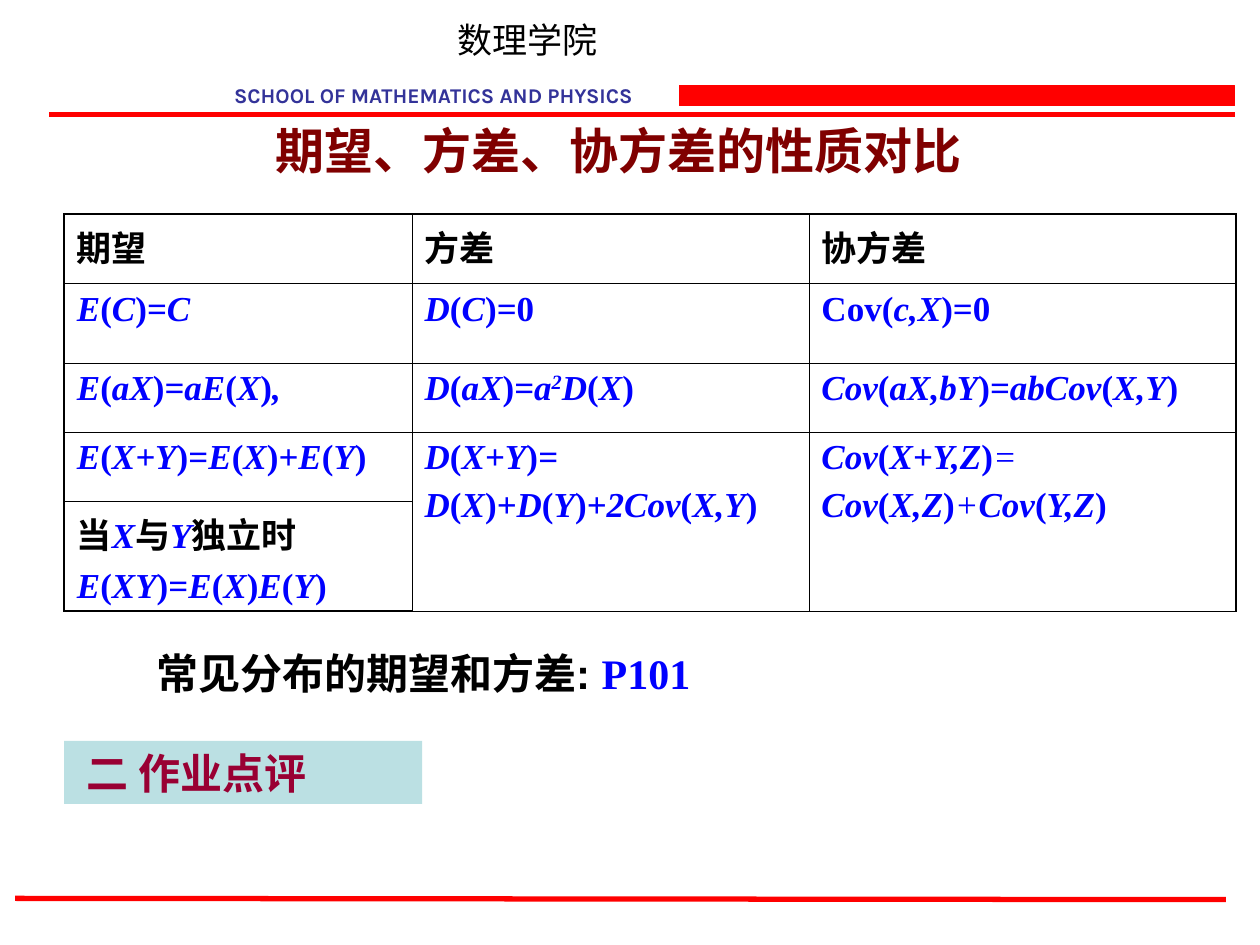
import pptx
import pptx.util
import pptx.dml.color
import pptx.enum.shapes
import pptx.enum.text
import pptx.oxml
import pptx.oxml.ns

Inches, Pt = pptx.util.Inches, pptx.util.Pt
RECTANGLE = pptx.enum.shapes.MSO_SHAPE.RECTANGLE
CJK, LATIN, SERIF = "Noto Sans CJK SC", "Arial", "Times New Roman"
COLORS = {"red": "FF0000", "black": "000000", "navy": "333399", "maroon": "800000",
          "blue": "0000FF", "teal": "BBE0E3", "crimson": "990033"}

HEADERS = ["期望", "方差", "协方差"]
# Text between bars is italic; "^" opens a superscript, "~" a light piece.
FORMULAS = [
    ["|E|(|C|)|=C|", "|D|(|C|)|=|0", "Cov(|c,X|)=0"],
    ["|E|(|aX|)|=aE|(|X|)|,|", "|D|(|aX|)|=a||^2||D|(|X|)",
     "|Cov|(|aX,bY|)|=abCov|(|X,Y|)"],
    ["|E|(|X+Y|)=|E|(|X|)|+E|(|Y|)",
     "|D|(|X+Y|)|=|\n|D|(|X|)|+D|(|Y|)|+2Cov|(|X,Y|)",
     "|Cov|(|X+Y,Z|)|~=|\n|Cov|(|X,Z|)|~+||Cov|(|Y,Z|)"],
    ["当|X|与|Y|独立时\n|E|(|XY|)=|E|(|X|)|E|(|Y|)", "", ""],
]
COLUMN_WIDTHS = [2.76, 3.15, 3.39]
ROW_HEIGHTS = [0.55, 0.63, 0.55, 0.55, 0.87]
OUTER, INNER = 1.08, 0.45


def rgb(name):
    return pptx.dml.color.RGBColor.from_string(COLORS[name])


def add_run(paragraph, text, size=20, font=SERIF, color="black", bold=True,
            italic=False, baseline=0):
    run = paragraph.add_run()
    run.text = text
    run.font.size, run.font.name = Pt(size), font
    run.font.bold, run.font.italic = bold, italic
    run.font.color.rgb = rgb(color)
    properties = run._r.get_or_add_rPr()
    if baseline:
        properties.set("baseline", str(baseline * 1000))
    east_asian = pptx.oxml.parse_xml(
        f'<a:ea {pptx.oxml.ns.nsdecls("a")} typeface="{CJK}"/>')
    properties.find(pptx.oxml.ns.qn("a:latin")).addnext(east_asian)


def write_formulas(frame, markup):
    for row, line in enumerate(markup.split("\n")):
        paragraph = frame.add_paragraph() if row else frame.paragraphs[0]
        if row:
            paragraph.space_before = Pt(5)
        for position, piece in enumerate(line.split("|")):
            if piece:
                chinese = piece[0] >= "一"
                add_run(paragraph, piece.lstrip("^~"),
                        color="black" if chinese else "blue",
                        bold=piece[0] != "~", italic=position % 2 == 1,
                        baseline=30 if piece[0] == "^" else 0)


def add_text(slide, box, *runs, wrap=True, align=None):
    """Each run is a pair of its text and its format."""
    frame = slide.shapes.add_textbox(*map(Inches, box)).text_frame
    frame.word_wrap = wrap
    paragraph = frame.paragraphs[0]
    paragraph.alignment = align
    for text, style in runs:
        add_run(paragraph, text, **style)


def add_rule(slide, x1, y1, x2, y2):
    rule = slide.shapes.add_connector(pptx.enum.shapes.MSO_CONNECTOR.STRAIGHT,
                                      *map(Inches, (x1, y1, x2, y2)))
    rule.line.color.rgb = rgb("red")
    rule.line.width = Pt(3)
    rule._element.spPr.append(
        pptx.oxml.parse_xml(f'<a:effectLst {pptx.oxml.ns.nsdecls("a")}/>'))


def add_block(slide, box, fill):
    block = slide.shapes.add_shape(RECTANGLE, *map(Inches, box))
    block.shadow.inherit = False
    block.fill.solid()
    block.fill.fore_color.rgb = rgb(fill)
    block.line.fill.background()
    return block


def set_borders(cell, row, column):
    """Thick lines on the outline of the table, thin ones inside."""
    edges = {"L": column == 0, "R": column == len(COLUMN_WIDTHS) - 1,
             "T": row == 0, "B": row == len(ROW_HEIGHTS) - 1}
    for side, outer in edges.items():
        width = Pt(OUTER if outer else INNER)
        cell._tc.get_or_add_tcPr().append(pptx.oxml.parse_xml(
            f'<a:ln{side} {pptx.oxml.ns.nsdecls("a")} w="{int(width)}"><a:solidFill>'
            f'<a:srgbClr val="{COLORS["black"]}"/></a:solidFill></a:ln{side}>'))


def add_properties_table(slide):
    table = slide.shapes.add_table(
        len(ROW_HEIGHTS), len(COLUMN_WIDTHS), Inches(0.51), Inches(1.7),
        Inches(sum(COLUMN_WIDTHS)), Inches(sum(ROW_HEIGHTS))).table
    table.first_row = table.horz_banding = False
    for column, width in zip(table.columns, COLUMN_WIDTHS):
        column.width = Inches(width)
    for row, height in zip(table.rows, ROW_HEIGHTS):
        row.height = Inches(height)
    for column in (1, 2):
        table.cell(3, column).merge(table.cell(4, column))
    for r, texts in enumerate([HEADERS] + FORMULAS):
        for c, text in enumerate(texts):
            cell = table.cell(r, c)
            set_borders(cell, r, c)
            cell.fill.background()
            if r == 0:
                add_run(cell.text_frame.paragraphs[0], text, font=LATIN)
            elif text:
                write_formulas(cell.text_frame, text)


def main():
    deck = pptx.Presentation()
    deck.slide_width, deck.slide_height = Inches(10), Inches(7.5)
    slide = deck.slides.add_slide(deck.slide_layouts[5])

    add_rule(slide, 0.39, 0.91, 9.8, 0.91)
    banner = add_block(slide, (5.39, 0.68, 4.41, 0.16), "red")
    banner.line.color.rgb = rgb("red")
    banner.line.width = Pt(0.75)
    add_rule(slide, 0.12, 7.13, 9.73, 7.14)
    add_text(slide, (3.53, 0.1, 1.31, 0.44),
             ("数理学院", {"font": CJK, "bold": False}),
             wrap=False, align=pptx.enum.text.PP_ALIGN.CENTER)
    add_text(slide, (1.76, 0.61, 3.57, 0.3),
             ("SCHOOL OF MATHEMATICS AND PHYSICS",
              {"size": 12, "font": "Karla", "color": "navy"}), wrap=False)

    title = slide.shapes.title
    title.left, title.top, title.width, title.height = map(
        Inches, (2.09, 0.91, 5.83, 0.57))
    title.text_frame.auto_size = pptx.enum.text.MSO_AUTO_SIZE.NONE
    title.text_frame.vertical_anchor = pptx.enum.text.MSO_ANCHOR.TOP
    heading = title.text_frame.paragraphs[0]
    heading.alignment = pptx.enum.text.PP_ALIGN.LEFT
    add_run(heading, "期望、方差、协方差的性质对比", size=28, color="maroon")

    add_properties_table(slide)
    add_text(slide, (1.14, 5.09, 5.98, 0.5),
             ("常见分布的期望和方差: ", {"size": 24, "font": LATIN}),
             ("P101", {"size": 24, "color": "blue"}))

    section = add_block(slide, (0.51, 5.88, 2.84, 0.5), "teal").text_frame
    section.margin_left = Inches(0.18)
    section.vertical_anchor = pptx.enum.text.MSO_ANCHOR.TOP
    section.paragraphs[0].alignment = pptx.enum.text.PP_ALIGN.LEFT
    add_run(section.paragraphs[0], "二 作业点评", size=24, font=CJK, color="crimson")

    deck.save("out.pptx")


if __name__ == "__main__":
    main()
